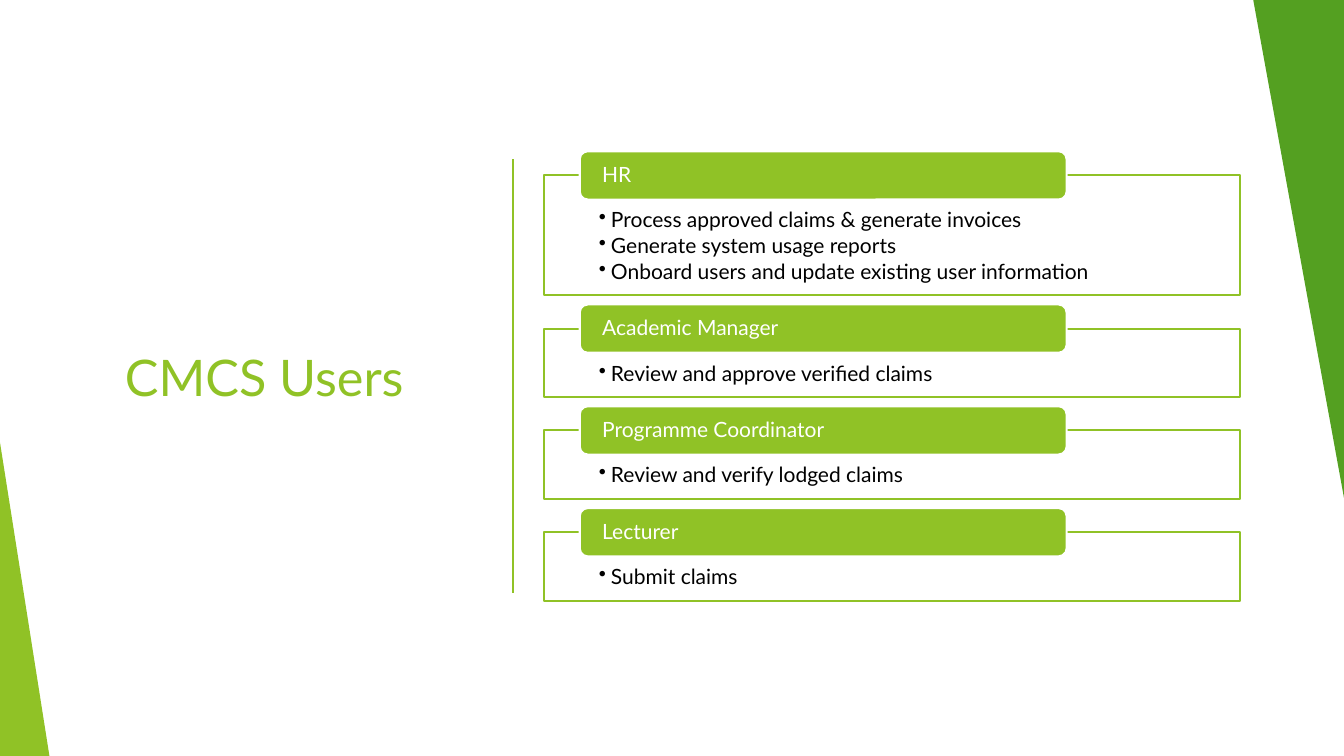
from lxml.etree import SubElement
from pptx import Presentation
from pptx.dml.color import RGBColor
from pptx.enum.shapes import MSO_CONNECTOR, MSO_SHAPE
from pptx.enum.text import MSO_ANCHOR, PP_ALIGN
from pptx.oxml.ns import qn
from pptx.util import Inches, Pt

GREEN, DARK, WHITE, BLACK = "90C226", "54A021", "FFFFFF", "000000"


def color(code):
    return RGBColor.from_string(code)


class Deck:
    font = "Lato"

    def __init__(self, slide):
        self.slide = slide

    def shape(self, kind, box, fill, line=None):
        item = self.slide.shapes.add_shape(kind, *map(Inches, box))
        item.shadow.inherit = False
        item.fill.solid()
        item.fill.fore_color.rgb = color(fill)
        if line:
            item.line.color.rgb = color(line)
            item.line.width = Pt(1.5)
        else:
            item.line.fill.background()
        return item

    def wedge(self, box, fill, turn=0):
        item = self.shape(MSO_SHAPE.ISOSCELES_TRIANGLE, box, fill)
        item.adjustments[0] = 0
        item.rotation = turn

    def rule(self, x, top, end, tint):
        line = self.slide.shapes.add_connector(
            MSO_CONNECTOR.STRAIGHT, Inches(x), Inches(top), Inches(x), Inches(end))
        line.line.color.rgb = color(tint)
        line.line.width = Pt(1)
        SubElement(line._element.spPr, qn("a:effectLst"))

    def label(self, item, text, size, tint, inset, anchor=MSO_ANCHOR.MIDDLE,
              bullet=False, lead=None):
        frame = item.text_frame
        frame.word_wrap = True
        frame.vertical_anchor = anchor
        (frame.margin_left, frame.margin_top,
         frame.margin_right, frame.margin_bottom) = map(Inches, inset)
        frame.text = text
        for para in frame.paragraphs:
            para.alignment = PP_ALIGN.LEFT
            para.line_spacing = lead
            if bullet:
                para.space_after = Pt(2.25)
                props = para._p.get_or_add_pPr()
                props.set("marL", str(Inches(0.12)))
                props.set("indent", str(-Inches(0.12)))
                SubElement(props, qn("a:buChar")).set("char", "•")
            for run in para.runs:
                run.font.name = self.font
                run.font.size = Pt(size)
                run.font.color.rgb = color(tint)

    def title(self, box, text):
        item = self.slide.shapes.add_textbox(*map(Inches, box))
        self.label(item, text, 36, GREEN, (0.1, 0.05, 0.1, 0.05))

    def role(self, top, high, name, tasks):
        body = self.shape(MSO_SHAPE.RECTANGLE, (5.4, top + 0.24, 6.9, high), WHITE, GREEN)
        self.label(body, "\n".join(tasks), 15, BLACK, (0.54, 0.34, 0.54, 0.12),
                   MSO_ANCHOR.TOP, True, 0.9)
        tab = self.shape(MSO_SHAPE.ROUNDED_RECTANGLE, (5.75, top, 4.83, 0.48), GREEN, WHITE)
        self.label(tab, name, 15, WHITE, (0.2, 0, 0.2, 0), lead=0.9)


def main():
    show = Presentation()
    show.slide_width, show.slide_height = Inches(13.33), Inches(7.5)
    deck = Deck(show.slides.add_slide(show.slide_layouts[6]))

    # Title and side wedges
    deck.title((1.14, 1.29, 3.61, 4.88), "CMCS Users")
    deck.wedge((0, 4.39, 0.49, 3.11), GREEN)
    deck.wedge((12.43, 0, 0.92, 5.05), DARK, 180)
    deck.rule(5.09, 1.58, 5.88, GREEN)

    # User roles, stacked with equal gaps
    roles = [
        ("HR", ["Process approved claims & generate invoices",
                "Generate system usage reports",
                "Onboard users and update existing user information"]),
        ("Academic Manager", ["Review and approve verified claims"]),
        ("Programme Coordinator", ["Review and verify lodged claims"]),
        ("Lecturer", ["Submit claims"]),
    ]
    top = 1.5
    for name, tasks in roles:
        high = 0.68 if len(tasks) == 1 else 1.19
        deck.role(top, high, name, tasks)
        top += 0.24 + high + 0.09

    show.save("out.pptx")


if __name__ == "__main__":
    main()
